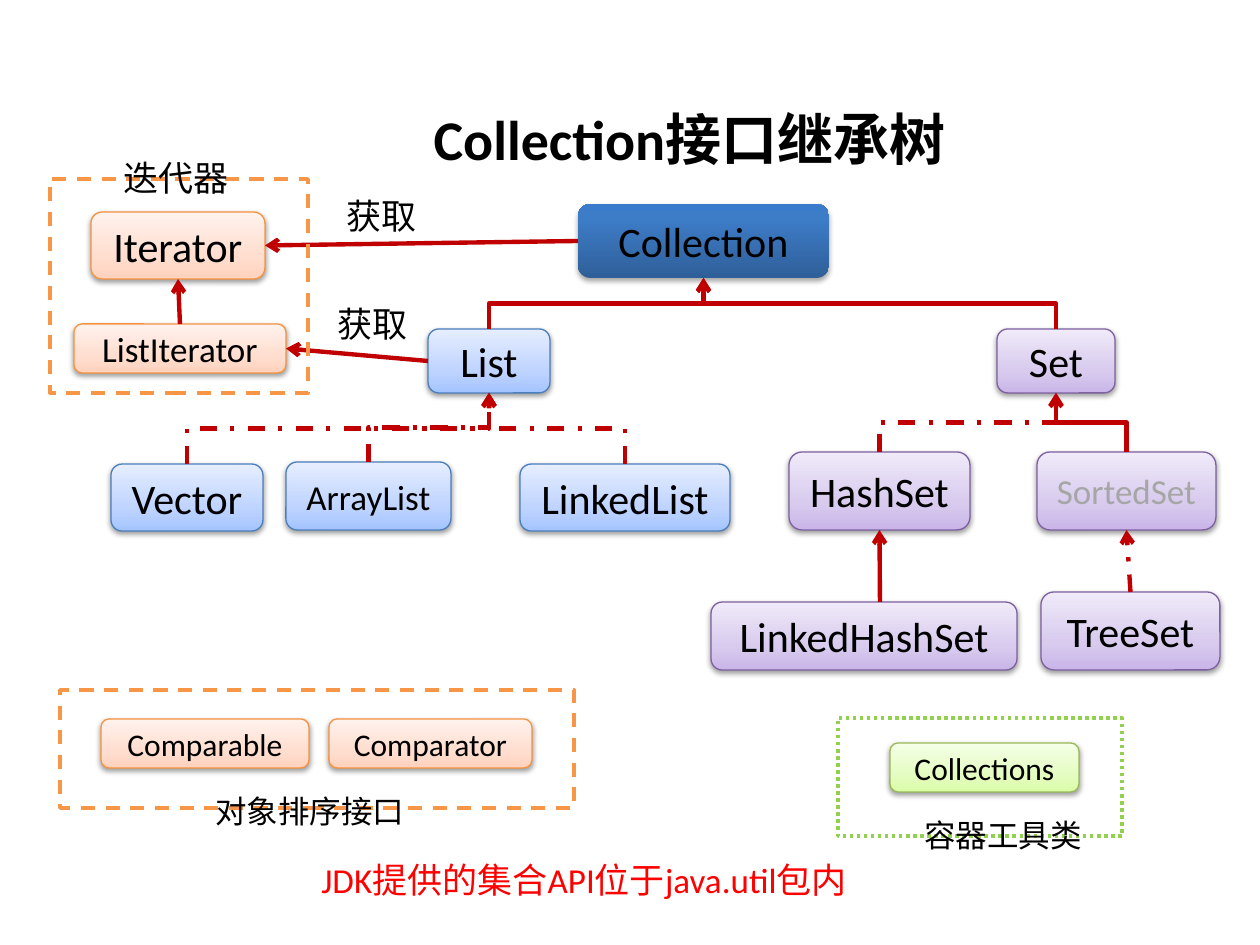
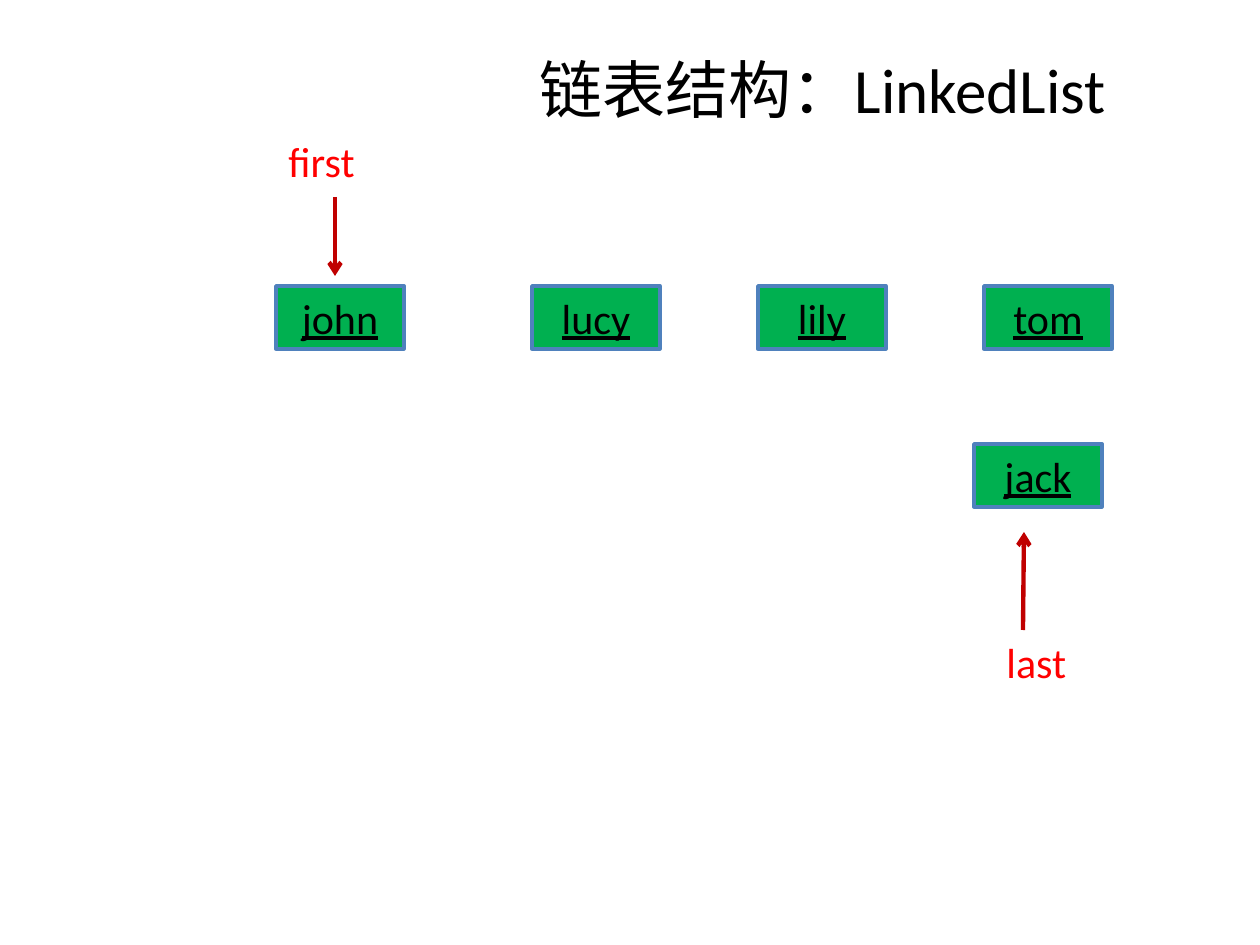
from dataclasses import dataclass

import pptx
import pptx.dml.color
import pptx.enum.dml
import pptx.enum.shapes
import pptx.enum.text
import pptx.oxml
import pptx.oxml.ns
import pptx.util

SCALE = 914400 / 126
TOP, LEFT, BOTTOM, RIGHT = range(4)
SHAPE = pptx.enum.shapes.MSO_SHAPE
CONNECTOR = pptx.enum.shapes.MSO_CONNECTOR
DASH = pptx.enum.dml.MSO_LINE
ALIGN = pptx.enum.text.PP_ALIGN
ANCHOR = pptx.enum.text.MSO_ANCHOR
FIT = pptx.enum.text.MSO_AUTO_SIZE


@dataclass(frozen=True)
class Palette:
    stops: tuple
    line: str | None
    shadow_alpha: int = 38
    shadow_distance: int = 20000


@dataclass(frozen=True)
class Theme:
    font: str = "Calibri"
    background: str = "FFFFFF"
    text: str = "000000"
    muted: str = "A6A6A6"
    accent: str = "FF0000"
    arrow: str = "C00000"
    node: str = "00B050"
    node_line: str = "4F81BD"
    orange_frame: str = "F79646"
    green_frame: str = "92D050"
    title: int = 36
    subtitle: int = 32
    large: int = 24
    medium: int = 20
    small: int = 18
    root: Palette = Palette(((0, "2F5F99"), (80, "3D7CC7"), (100, "3A7CCB")), None, 35, 23000)
    blue: Palette = Palette(((0, "A4C4FF"), (35, "BFD4FF"), (100, "E6EEFF")), "4B7EBC")
    purple: Palette = Palette(((0, "C9B5E8"), (35, "D8CBEE"), (100, "F0EAF9")), "7D60A0")
    orange: Palette = Palette(((0, "FFD2BD"), (35, "FFDED0"), (100, "FFF2ED")), "F69240")
    green: Palette = Palette(((0, "DAFDA7"), (35, "E4FCC2"), (100, "F5FFE7")), "98B955")


THEME = Theme()


def px(value):
    return pptx.util.Emu(round(value * SCALE))


def rgb(value):
    return pptx.dml.color.RGBColor.from_string(value)


def child(parent, tag):
    return parent.find(pptx.oxml.ns.qn(tag))


def xml(text):
    return pptx.oxml.parse_xml(text.replace(" ", f" {pptx.oxml.ns.nsdecls('a')} ", 1))


def write(sp, text, size, color=THEME.text, align=ALIGN.LEFT, bold=None, underline=None):
    p = sp.text_frame.paragraphs[0]
    p.text = text
    p.alignment = align
    p.font.name = THEME.font
    p.font.size = pptx.util.Pt(size)
    p.font.color.rgb = rgb(color)
    p.font.bold = bold
    p.font.underline = underline


def outline(sp, color, width, dash=None):
    sp.line.color.rgb = rgb(color)
    sp.line.width = pptx.util.Pt(width)
    if dash:
        sp.line.dash_style = dash


def add_title(slide, box, text, size, align, anchor, bold=None):
    sp = slide.shapes.title
    sp.left, sp.top, sp.width, sp.height = map(px, box)
    tf = sp.text_frame
    tf.word_wrap = True
    tf.auto_size = FIT.NONE
    tf.vertical_anchor = anchor
    write(sp, text, size, align=align, bold=bold)


def add_label(slide, box, text, size, color=THEME.text, anchor=ANCHOR.TOP):
    sp = slide.shapes.add_textbox(*map(px, box))
    tf = sp.text_frame
    tf.word_wrap = True
    tf.auto_size = FIT.SHAPE_TO_FIT_TEXT
    tf.vertical_anchor = anchor
    write(sp, text, size, color)


def add_class_box(slide, box, text, palette, size=THEME.large, color=THEME.text):
    sp = slide.shapes.add_shape(SHAPE.ROUNDED_RECTANGLE, *map(px, box))
    sp.fill.gradient()
    sp.fill.gradient_angle = 90
    spPr = sp.element.spPr
    stops = child(child(spPr, "a:gradFill"), "a:gsLst")
    for stop in list(stops):
        stops.remove(stop)
    for position, tint in palette.stops:
        stops.append(xml(f'<a:gs pos="{position * 1000}"><a:srgbClr val="{tint}"/></a:gs>'))
    if palette.line:
        outline(sp, palette.line, 0.75)
    else:
        sp.line.fill.background()
    spPr.append(xml(
        f'<a:effectLst ><a:outerShdw blurRad="40000" dist="{palette.shadow_distance}" '
        f'dir="5400000" rotWithShape="0"><a:srgbClr val="000000">'
        f'<a:alpha val="{palette.shadow_alpha * 1000}"/></a:srgbClr></a:outerShdw></a:effectLst>'))
    write(sp, text, size, color, ALIGN.CENTER)
    return sp


def add_frame(slide, box, color, dash):
    sp = slide.shapes.add_shape(SHAPE.RECTANGLE, *map(px, box))
    sp.fill.background()
    sp.shadow.inherit = False
    outline(sp, color, 2, dash)


def add_node(slide, x, y, text):
    sp = slide.shapes.add_shape(SHAPE.RECTANGLE, px(x), px(y), px(128), px(63))
    sp.fill.solid()
    sp.fill.fore_color.rgb = rgb(THEME.node)
    sp.shadow.inherit = False
    outline(sp, THEME.node_line, 2)
    write(sp, text, THEME.large, align=ALIGN.CENTER, underline=True)


def style_arrow(cxn, dash=None):
    outline(cxn, THEME.arrow, 2.5, dash)
    spPr = cxn.element.spPr
    child(spPr, "a:ln").append(xml('<a:tailEnd type="arrow"/>'))
    spPr.append(xml("<a:effectLst />"))


def add_arrow(slide, start, end, dash=None):
    cxn = slide.shapes.add_connector(CONNECTOR.STRAIGHT, *map(px, start + end))
    style_arrow(cxn, dash)
    return cxn


def join_arrow(slide, source, source_side, target, target_side, dash=None):
    cxn = add_arrow(slide, (0, 0), (0, 0), dash)
    cxn.begin_connect(source, source_side)
    cxn.end_connect(target, target_side)


def add_elbow(slide, subtype, parent, dash=None):
    cxn = slide.shapes.add_connector(CONNECTOR.ELBOW, 0, 0, 0, 0)
    cxn.begin_connect(subtype, TOP)
    cxn.end_connect(parent, BOTTOM)
    x1, y1 = subtype.left + subtype.width // 2, subtype.top
    x2, y2 = parent.left + parent.width // 2, parent.top + parent.height
    run, rise = abs(x2 - x1), y1 - y2
    cxn.left, cxn.top = (x1 + x2 - rise) // 2, (y1 + y2 - run) // 2
    cxn.width, cxn.height = rise, run
    from_left = x1 < x2
    xfrm = child(cxn.element.spPr, "a:xfrm")
    xfrm.set("rot", "5400000" if from_left else "16200000")
    xfrm.set("flipH", "1" if from_left else "0")
    xfrm.set("flipV", "1")
    style_arrow(cxn, dash)


def build_collection_tree(slide):
    t = THEME
    add_title(slide, (421, 98, 670, 81), "Collection接口继承树", t.subtitle,
              ALIGN.LEFT, ANCHOR.TOP, bold=True)
    classes = [
        ("Collection", (578, 204, 251, 74), t.root),
        ("List", (428, 329, 122, 64), t.blue),
        ("Set", (997, 329, 118, 64), t.purple),
        ("Vector", (111, 464, 152, 67), t.blue),
        ("ArrayList", (286, 462, 165, 68), t.blue, t.medium),
        ("LinkedList", (520, 464, 210, 67), t.blue),
        ("HashSet", (789, 452, 181, 78), t.purple),
        ("SortedSet", (1037, 452, 179, 78), t.purple, t.medium, t.muted),
        ("LinkedHashSet", (711, 602, 306, 68), t.purple),
        ("TreeSet", (1041, 592, 179, 78), t.purple),
        ("Comparable", (101, 719, 208, 49), t.orange, t.small),
        ("Comparator", (329, 719, 203, 49), t.orange, t.small),
        ("Collections", (890, 743, 189, 49), t.green, t.small),
        ("Iterator", (91, 212, 174, 67), t.orange),
        ("ListIterator", (74, 324, 212, 49), t.orange, t.medium),
    ]
    boxes = {name: add_class_box(slide, box, name, *look) for name, box, *look in classes}

    for subtype, parent, dash in [
        ("List", "Collection", None),
        ("Set", "Collection", None),
        ("Vector", "List", DASH.DASH_DOT),
        ("ArrayList", "List", DASH.DASH_DOT),
        ("LinkedList", "List", DASH.DASH_DOT),
        ("HashSet", "Set", DASH.DASH_DOT),
        ("SortedSet", "Set", None),
    ]:
        add_elbow(slide, boxes[subtype], boxes[parent], dash)

    for source, source_side, target, target_side, dash in [
        ("Collection", LEFT, "Iterator", RIGHT, None),
        ("List", LEFT, "ListIterator", RIGHT, None),
        ("ListIterator", TOP, "Iterator", BOTTOM, None),
        ("TreeSet", TOP, "SortedSet", BOTTOM, DASH.DASH_DOT),
    ]:
        join_arrow(slide, boxes[source], source_side, boxes[target], target_side, dash)
    add_arrow(slide, (880, 602), (880, 530)).end_connect(boxes["HashSet"], BOTTOM)

    add_frame(slide, (50, 179, 258, 214), t.orange_frame, DASH.DASH)
    add_frame(slide, (60, 690, 514, 118), t.orange_frame, DASH.DASH)
    add_frame(slide, (838, 718, 284, 118), t.green_frame, DASH.ROUND_DOT)

    add_label(slide, (111, 150, 154, 55), "迭代器", t.medium)
    add_label(slide, (203, 786, 222, 50), "对象排序接口", t.small)
    add_label(slide, (912, 810, 189, 50), "容器工具类", t.small)
    for x, y in [(334, 188), (325, 296)]:
        add_label(slide, (x, y, 103, 55), "获取", t.medium)
    add_label(slide, (309, 852, 604, 55), "JDK提供的集合API位于java.util包内",
              t.medium, t.accent, ANCHOR.MIDDLE)


def build_linked_list(slide):
    add_title(slide, (256, 29, 1134, 118), "链表结构：LinkedList", THEME.title,
              ALIGN.CENTER, ANCHOR.MIDDLE)
    add_node(slide, 276, 286, "john")
    for i, name in enumerate(("lucy", "lily", "tom")):
        add_node(slide, 532 + 226 * i, 286, name)
    add_node(slide, 974, 444, "jack")
    add_label(slide, (276, 129, 108, 63), "first", THEME.large, THEME.accent)
    add_label(slide, (994, 630, 108, 63), "last", THEME.large, THEME.accent)
    add_arrow(slide, (335, 197), (335, 276))
    add_arrow(slide, (1023, 630), (1024, 532))


def main():
    prs = pptx.Presentation()
    prs.slide_width, prs.slide_height = px(1260), px(945)
    for build in (build_collection_tree, build_linked_list):
        slide = prs.slides.add_slide(prs.slide_layouts[5])
        slide.background.fill.solid()
        slide.background.fill.fore_color.rgb = rgb(THEME.background)
        build(slide)
    prs.save("out.pptx")


if __name__ == "__main__":
    main()
